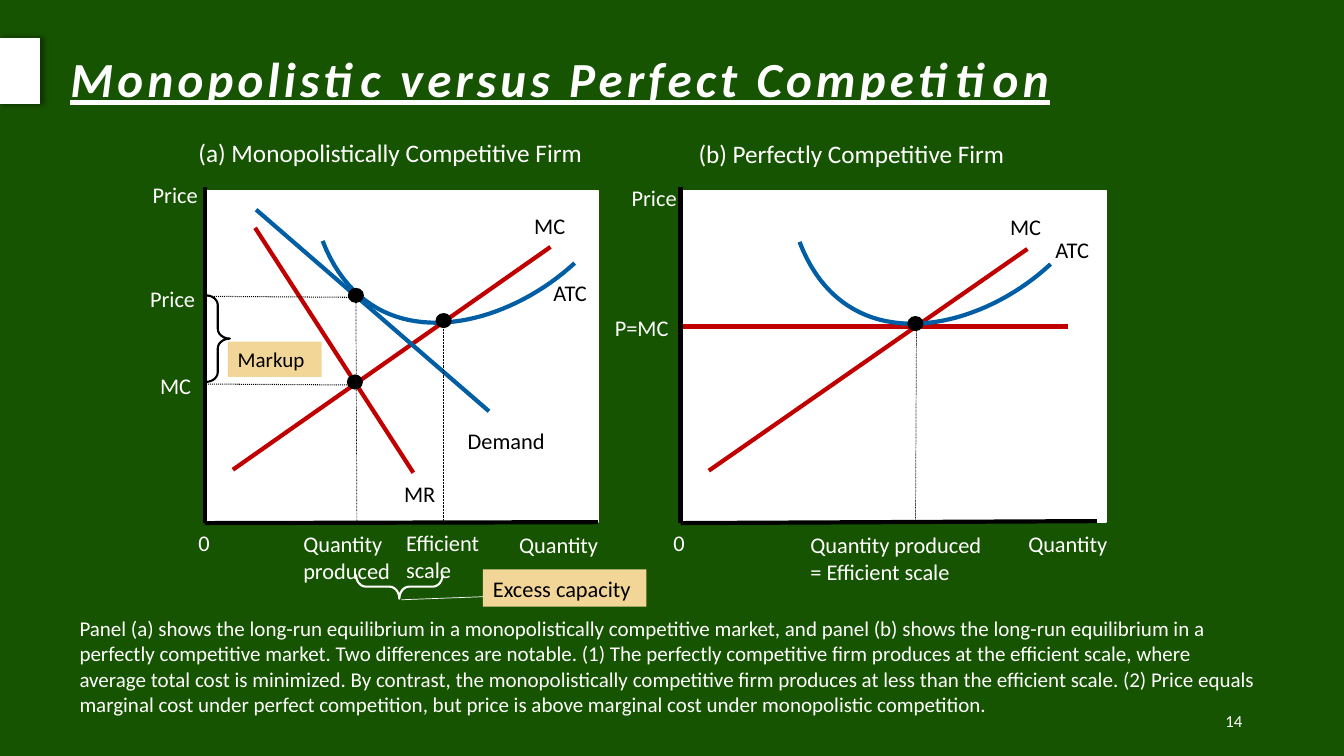
import pptx
import pptx.util
import pptx.dml.color
import pptx.enum.dml
import pptx.enum.shapes
import pptx.enum.text
import pptx.oxml
import pptx.oxml.ns

Inches = pptx.util.Inches
Pt = pptx.util.Pt
RGBColor = pptx.dml.color.RGBColor
Shape = pptx.enum.shapes.MSO_SHAPE
Align = pptx.enum.text.PP_ALIGN
Anchor = pptx.enum.text.MSO_ANCHOR

GREEN = RGBColor(0x17, 0x54, 0x01)
WHITE = RGBColor(0xFF, 0xFF, 0xFF)
BLACK = RGBColor(0x00, 0x00, 0x00)
RED = RGBColor(0xC0, 0x00, 0x00)
BLUE = RGBColor(0x00, 0x5E, 0xA4)
SAND = RGBColor(0xF2, 0xD6, 0x98)

SHADOW = (
    f'<a:effectLst {pptx.oxml.ns.nsdecls("a")}>'
    '<a:outerShdw blurRad="50800" dist="38100" dir="0" algn="l" rotWithShape="0">'
    '<a:srgbClr val="000000"><a:alpha val="40000"/></a:srgbClr>'
    '</a:outerShdw></a:effectLst>'
)


class Diagram:
    font = "Calibri"
    label_size = 16
    curve_width = 3
    curve_steps = 40

    def __init__(self, slide):
        self.slide = slide

    def fill_text(self, shape, text, size, color, align=Align.LEFT, wrap=True):
        frame = shape.text_frame
        frame.word_wrap = wrap
        frame.auto_size = pptx.enum.text.MSO_AUTO_SIZE.SHAPE_TO_FIT_TEXT
        for index, line in enumerate(text.split("\n")):
            paragraph = frame.add_paragraph() if index else frame.paragraphs[0]
            paragraph.text = line
            paragraph.alignment = align
            paragraph.font.name = self.font
            paragraph.font.size = Pt(size)
            paragraph.font.color.rgb = color

    def text(self, text, left, top, width, height, size=label_size, color=WHITE,
             align=Align.LEFT, wrap=False):
        box = self.slide.shapes.add_textbox(
            Inches(left), Inches(top), Inches(width), Inches(height))
        self.fill_text(box, text, size, color, align, wrap)
        return box

    def shape(self, kind, left, top, width, height, fill=None, line=None, line_width=1):
        shape = self.slide.shapes.add_shape(
            kind, Inches(left), Inches(top), Inches(width), Inches(height))
        shape.shadow.inherit = False
        if fill is None:
            shape.fill.background()
        else:
            shape.fill.solid()
            shape.fill.fore_color.rgb = fill
        if line is None:
            shape.line.fill.background()
        else:
            shape.line.color.rgb = line
            shape.line.width = Pt(line_width)
        return shape

    def tag(self, text, left, top, width, height, size):
        tag = self.shape(Shape.RECTANGLE, left, top, width, height, SAND)
        self.fill_text(tag, text, size, BLACK)

    def brace(self, left, top, color, rotation=0):
        brace = self.shape(Shape.RIGHT_BRACE, left, top, 0.24, 0.86, None, color, 1.5)
        brace.adjustments[0] = 0.402
        brace.rotation = rotation

    def dot(self, center_x, center_y):
        self.shape(Shape.OVAL, center_x - 0.08, center_y - 0.075, 0.16, 0.15, BLACK)

    def line(self, start, end, color, width=curve_width, dotted=False):
        line = self.slide.shapes.add_connector(
            pptx.enum.shapes.MSO_CONNECTOR.STRAIGHT,
            *(Inches(value) for value in (*start, *end)))
        line.line.color.rgb = color
        line.line.width = Pt(width)
        if dotted:
            line.line.dash_style = pptx.enum.dml.MSO_LINE.ROUND_DOT
        line._element.spPr.append(pptx.oxml.parse_xml(
            f'<a:effectLst {pptx.oxml.ns.nsdecls("a")}/>'))

    def curve(self, controls, color):
        points = []
        for step in range(self.curve_steps + 1):
            t = step / self.curve_steps
            weights = ((1 - t) ** 3, 3 * t * (1 - t) ** 2, 3 * t ** 2 * (1 - t), t ** 3)
            points.append(tuple(
                Inches(sum(weight * point[axis] for weight, point in zip(weights, controls)))
                for axis in (0, 1)))
        builder = self.slide.shapes.build_freeform(*points[0])
        builder.add_line_segments(points[1:], close=False)
        curve = builder.convert_to_shape()
        curve.shadow.inherit = False
        curve.fill.background()
        curve.line.color.rgb = color
        curve.line.width = Pt(self.curve_width)

    def panel(self, title, title_at, plot, axis_x, axis_end, price_at, quantity_at, zero_x):
        self.text(title, *title_at, 0.4, size=18, wrap=True)
        self.shape(Shape.RECTANGLE, *plot, WHITE, WHITE)
        self.line((axis_x, 1.86), (axis_x, 5.19), BLACK)
        self.line((axis_x, 5.19), axis_end, BLACK)
        self.text("Price", *price_at, 0.65, 0.37, align=Align.RIGHT)
        self.text("Quantity", *quantity_at, 1.05, 0.37)
        self.text("0", zero_x, 5.2, 0.33, 0.37)


def main():
    presentation = pptx.Presentation()
    presentation.slide_width = Inches(13.33)
    presentation.slide_height = Inches(7.5)
    slide = presentation.slides.add_slide(presentation.slide_layouts[6])
    diagram = Diagram(slide)

    diagram.shape(Shape.RECTANGLE, 0, -0.01, 13.37, 7.51, GREEN)
    number = diagram.text("14", 9.42, 6.95, 3, 0.4, 12, align=Align.RIGHT, wrap=True)
    number.text_frame.auto_size = pptx.enum.text.MSO_AUTO_SIZE.NONE
    number.text_frame.vertical_anchor = Anchor.MIDDLE

    title = diagram.text("Monopolistic versus Perfect Competition", 0.6, 0.43, 10.05, 0.69, 35)
    heading = title.text_frame.paragraphs[0]
    heading.font.bold = heading.font.italic = heading.font.underline = True
    heading.runs[0]._r.get_or_add_rPr().set("spc", "300")

    marker = diagram.shape(Shape.RECTANGLE, -0.01, 0.38, 0.4, 0.65, WHITE, WHITE)
    properties = marker._element.spPr
    properties.replace(properties.find(pptx.oxml.ns.qn("a:effectLst")),
                       pptx.oxml.parse_xml(SHADOW))

    diagram.text(
        "Panel (a) shows the long-run equilibrium in a monopolistically competitive market, "
        "and panel (b) shows the long-run equilibrium in a perfectly competitive market. "
        "Two differences are notable. (1) The perfectly competitive firm produces at the "
        "efficient scale, where average total cost is minimized. By contrast, the "
        "monopolistically competitive firm produces at less than the efficient scale. "
        "(2) Price equals marginal cost under perfect competition, but price is above "
        "marginal cost under monopolistic competition.",
        0.69, 6.06, 11.88, 1.11, 15, wrap=True)

    diagram.panel("(a) Monopolistically Competitive Firm", (1.87, 1.31, 4.32),
                  (2.05, 1.89, 3.88, 3.29), 2.03, (5.93, 5.18),
                  (1.41, 1.75), (5.05, 5.22), 1.87)
    diagram.panel("(b) Perfectly Competitive Firm", (6.83, 1.32, 3.93),
                  (6.76, 1.89, 4.21, 3.29), 6.75, (10.88, 5.17),
                  (6.16, 1.78), (10.1, 5.21), 6.58)

    for start, end, color in (
        ((2.31, 4.66), (5.46, 2.45), RED),
        ((2.53, 2.26), (4.1, 4.69), RED),
        ((2.54, 2.08), (4.85, 4.08), BLUE),
        ((7.03, 4.67), (10.19, 2.47), RED),
        ((6.77, 3.24), (10.59, 3.24), RED),
    ):
        diagram.line(start, end, color)

    diagram.curve(((3.2, 2.39), (3.66, 3.57), (4.95, 3.3), (5.7, 2.61)), BLUE)
    diagram.curve(((7.93, 2.4), (8.38, 3.58), (9.68, 3.31), (10.42, 2.62)), BLUE)

    for start, end, width in (
        ((3.53, 2.95), (3.54, 5.17), 0.5),
        ((4.4, 3.22), (4.4, 5.17), 0.5),
        ((9.09, 3.26), (9.08, 5.18), 0.5),
        ((2.02, 3.81), (3.56, 3.82), 0.75),
        ((2.06, 2.94), (3.57, 2.95), 0.75),
    ):
        diagram.line(start, end, BLACK, width, dotted=True)

    for center in ((3.52, 3.79), (3.53, 2.93), (4.4, 3.18), (9.08, 3.21)):
        diagram.dot(*center)

    for label, left, top, width, height, color in (
        ("MC", 5.2, 2.06, 0.51, 0.37, BLACK),
        ("ATC", 5.39, 2.72, 0.54, 0.37, BLACK),
        ("MR", 3.91, 4.71, 0.52, 0.37, BLACK),
        ("Demand", 4.54, 4.19, 1.02, 0.37, BLACK),
        ("MC", 9.92, 2.07, 0.51, 0.37, BLACK),
        ("ATC", 10.37, 2.29, 0.54, 0.37, BLACK),
        ("Price", 1.39, 2.78, 0.65, 0.37, WHITE),
        ("MC", 1.49, 3.64, 0.51, 0.37, WHITE),
        ("P=MC", 6, 3.07, 0.74, 0.37, WHITE),
        ("Quantity\nproduced", 2.91, 5.21, 1.07, 0.64, WHITE),
        ("Efficient\nscale", 3.93, 5.2, 0.94, 0.64, WHITE),
        ("Quantity produced\n= Efficient scale", 7.94, 5.22, 1.97, 0.64, WHITE),
    ):
        diagram.text(label, left, top, width, height, color=color)

    diagram.brace(2.04, 2.93, BLACK)
    diagram.tag("Markup", 2.26, 3.39, 0.93, 0.35, 15)
    diagram.brace(3.84, 5.39, WHITE, rotation=90)
    diagram.tag("Excess capacity", 4.79, 5.65, 1.62, 0.37, 16)
    diagram.line((3.98, 5.95), (4.79, 5.92), WHITE, 0.5)

    presentation.save("out.pptx")


if __name__ == "__main__":
    main()
